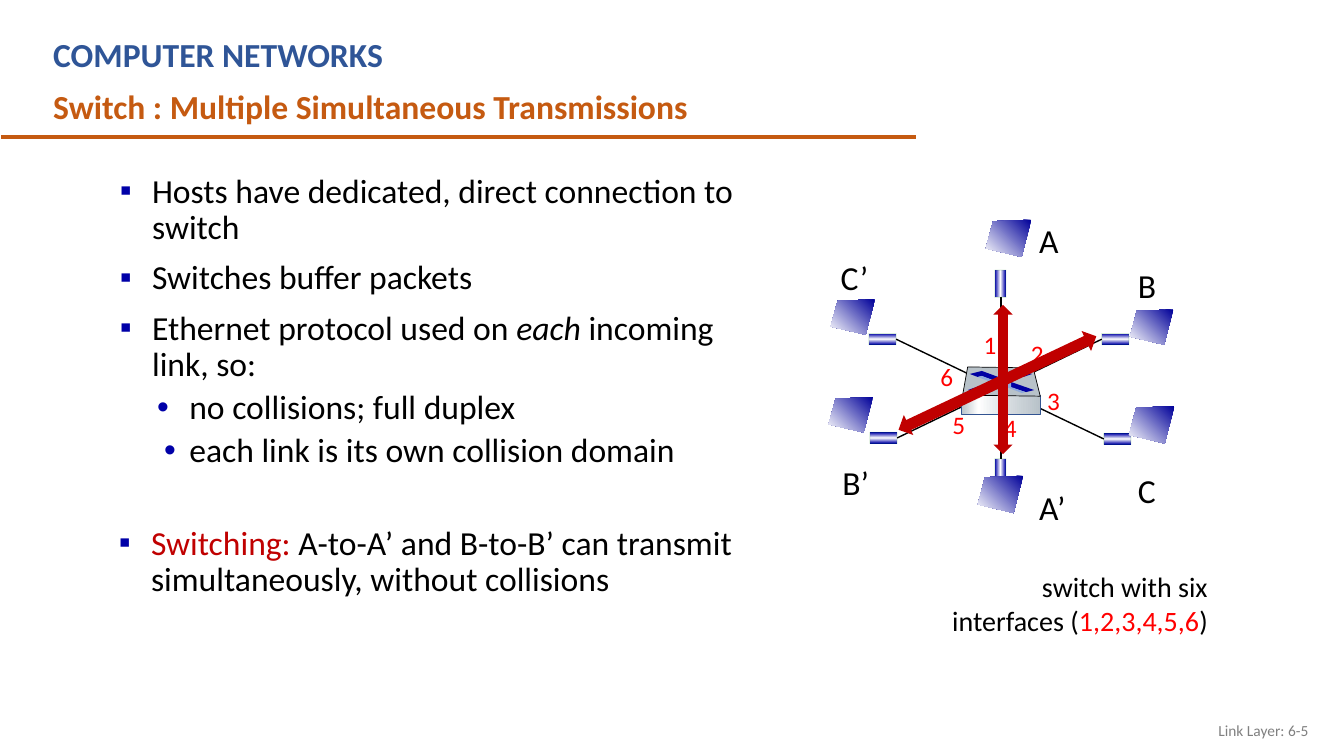
from lxml.etree import SubElement
from pptx import Presentation
from pptx.dml.color import RGBColor
from pptx.enum.shapes import MSO_CONNECTOR, MSO_SHAPE
from pptx.enum.text import MSO_ANCHOR, MSO_AUTO_SIZE, PP_ALIGN
from pptx.oxml import parse_xml
from pptx.oxml.ns import nsdecls, qn
from pptx.util import Inches, Pt

CELL = Inches(0.1)
BLACK, RED, DEEP, NAVY = "000000", "FF0000", "C00000", "0000A8"
SCREEN = [(1, 0), (0.16, 0.04), (0, 0.77), (0.79, 1)]
SCREEN_FILL = [(0, "000099"), (100, "FFFFFF")]
PORT_FILL = [(0, NAVY), (50, "FFFFFF"), (99, NAVY)]
BASE_FILL = [(0, "B8C2C9"), (21, "FFFFFF"), (60, "D6DCE0"), (100, "B8C2C9")]


def grid(*cells):
    return [round(cell * CELL) for cell in cells]


def tint(code):
    return RGBColor.from_string(code)


def paint(shape, fill, angle=0, edge=None, width=0.5):
    shape.shadow.inherit = False
    if isinstance(fill, str):
        shape.fill.solid()
        shape.fill.fore_color.rgb = tint(fill)
    else:
        stops = "".join(
            f'<a:gs pos="{pos * 1000}"><a:srgbClr val="{code}"/></a:gs>'
            for pos, code in fill
        )
        shade = parse_xml(
            f'<a:gradFill {nsdecls("a")} rotWithShape="1"><a:gsLst>{stops}</a:gsLst>'
            f'<a:lin ang="{angle * 60000}" scaled="0"/></a:gradFill>'
        )
        form = shape._element.spPr.find(qn("a:prstGeom"))
        if form is None:
            form = shape._element.spPr.find(qn("a:custGeom"))
        form.addnext(shade)
    if edge:
        shape.line.color.rgb = tint(edge)
        shape.line.width = Pt(width)
    else:
        shape.line.fill.background()


def block(slide, kind, box, fill, angle=0, edge=None, width=0.5, turn=0):
    shape = slide.shapes.add_shape(kind, *grid(*box))
    paint(shape, fill, angle, edge, width)
    shape.rotation = turn
    return shape


def outline(slide, points, fill, angle=0, edge=None):
    first, *rest = [grid(*point) for point in points]
    pen = slide.shapes.build_freeform(*first)
    pen.add_line_segments(rest, close=True)
    paint(pen.convert_to_shape(), fill, angle, edge)


def screen(slide, left, top, wide, high):
    points = [(left + x * wide, top + y * high) for x, y in SCREEN]
    outline(slide, points, SCREEN_FILL, 135)


def port(slide, box, angle):
    shape = block(slide, MSO_SHAPE.RECTANGLE, box, PORT_FILL, angle, "008000", 0.75)
    code = shape._element.spPr.find(qn("a:ln")).find(".//" + qn("a:srgbClr"))
    SubElement(code, qn("a:alpha"), val="15000")
    return shape


def link(slide, ends, code=BLACK, width=1):
    wire = slide.shapes.add_connector(MSO_CONNECTOR.STRAIGHT, *grid(*ends))
    wire.line.color.rgb = tint(code)
    wire.line.width = Pt(width)
    SubElement(wire._element.spPr, qn("a:effectLst"))
    return wire


def frame(slide, box, wrap):
    area = slide.shapes.add_textbox(*grid(*box)).text_frame
    area.word_wrap = wrap
    if not wrap:
        area.auto_size = MSO_AUTO_SIZE.SHAPE_TO_FIT_TEXT
    return area


def write(para, runs, size, bold=False):
    for text, code, slant in runs:
        run = para.add_run()
        run.text = text
        font = run.font
        font.name, font.size = "Calibri", Pt(size)
        font.bold, font.italic = bold, slant
        font.color.rgb = tint(code)


def label(slide, box, runs, size, wrap=False, align=PP_ALIGN.LEFT, bold=False):
    area = frame(slide, box, wrap)
    area.paragraphs[0].alignment = align
    write(area.paragraphs[0], runs, size, bold)
    return area


def bullets(slide, box, items):
    area = frame(slide, box, True)
    for rank, (level, hang, runs) in enumerate(items):
        para = area.add_paragraph() if rank else area.paragraphs[0]
        para.level = level
        props = para._p.get_or_add_pPr()
        props.set("marL", str(Inches((0.39, 0.76)[level])))
        props.set("indent", str(-Inches(hang)))
        SubElement(SubElement(props, qn("a:buClr")), qn("a:srgbClr"), val=NAVY)
        SubElement(props, qn("a:buFont"), typeface="Arial")
        SubElement(props, qn("a:buChar"), char="▪•"[level])
        para.line_spacing = 0.9
        if rank:
            para.space_before = Pt((10, 5)[level])
        write(para, runs, 24)


def switch(slide):
    block(slide, MSO_SHAPE.RECTANGLE, (95.4, 39.2, 7.8, 1.9), BASE_FILL, 0, "325491")
    outline(slide, [(95.5, 39.2), (96, 36.4), (102.5, 36.5), (103.2, 39.3)],
            "B8C2C9", edge=BLACK)
    outline(slide, [(101.2, 36.8), (102.4, 37.1), (101.5, 37.4), (101.3, 37.3),
                    (99.2, 38), (97.4, 37.3), (97, 37.4), (96.2, 37.1),
                    (97.4, 36.8), (99.3, 37.5)], "0000A3")
    outline(slide, [(100.3, 37.9), (102.6, 38.7), (101.8, 38.9), (100.2, 38.4)], "0000A3")
    outline(slide, [(98.3, 37.9), (98.3, 38.4), (96.8, 38.9), (96, 38.7)], NAVY)
    outline(slide, [(97, 37.4), (97.4, 37.3), (99.3, 38), (101.3, 37.3), (101.5, 37.4),
                    (100.3, 37.9), (100.3, 38.4), (101.7, 38.9), (101.4, 39),
                    (99.3, 38.2), (97.1, 39), (96.8, 38.9), (98.3, 38.4),
                    (98.3, 37.9)], "8FAADC")


def network(slide):
    link(slide, (99.3, 28.5, 99.3, 46.6))
    label(slide, (91.3, 56, 29.5, 7.7),
          [("switch with six interfaces (", BLACK, False), ("1,2,3,4,5,6", RED, False),
           (")", BLACK, False)], 20, True, PP_ALIGN.RIGHT)
    hosts = [("A", 102.1, 21.3), ("A’", 102.1, 47.8), ("B", 111.9, 25.8),
             ("B’", 82.6, 45.3), ("C", 111.9, 46.1), ("C’", 82.4, 25)]
    for name, left, top in hosts:
        label(slide, (left, top, 6, 5), [(name, BLACK, False)], 24)
    digits = [(96.6, 32.2), (101.3, 33.1), (102.9, 37.7),
              (98.6, 40.4), (93.5, 40.1), (92.3, 35.4)]
    for count, (left, top) in enumerate(digits, 1):
        label(slide, (left, top, 3.3, 4), [(str(count), RED, False)], 18)
    west = [port(slide, (left, top, 2.7, 1.1), 90) for left, top in [(86.2, 33.1), (86.3, 42.9)]]
    east = [port(slide, (left, top, 2.7, 1.1), 90) for left, top in [(109.3, 33.1), (109.5, 43)]]
    for start, end in zip(west, reversed(east)):
        wire = link(slide, (88.9, 33.7, 109.5, 43.5))
        wire.begin_connect(start, 3)
        wire.end_connect(end, 1)
    for top in (26.8, 45.5):
        port(slide, (98.7, top, 1.1, 2.7), 0)
    switch(slide)
    for box in [(82.4, 29.7, 4.4, 3.5), (82.2, 39.4, 4.4, 3.5), (112.1, 30.7, 4.3, 3.5),
                (112, 40.3, 4.5, 3.7), (97, 47.2, 4.5, 3.7), (97.8, 21.8, 4.5, 3.7)]:
        screen(slide, *box)


def main():
    deck = Presentation()
    deck.slide_width, deck.slide_height = grid(133.33, 75)
    slide = deck.slides.add_slide(deck.slide_layouts[6])
    foot = label(slide, (100.8, 70.5, 30, 4), [("Link Layer: 6-5", "808080", False)],
                 11, True, PP_ALIGN.RIGHT)
    foot.vertical_anchor = MSO_ANCHOR.MIDDLE
    network(slide)
    bullets(slide, (10.2, 16.8, 63.9, 37.6), [
        (0, 0.32, [("Hosts have dedicated, direct connection to switch", BLACK, False)]),
        (0, 0.32, [("Switches buffer packets", BLACK, False)]),
        (0, 0.32, [("Ethernet protocol used on ", BLACK, False), ("each", BLACK, True),
                   (" incoming link, so:", BLACK, False)]),
        (1, 0.32, [("no collisions; full duplex", BLACK, False)]),
        (1, 0.25, [("each link is its own collision domain", BLACK, False)]),
    ])
    bullets(slide, (10.1, 51.7, 73.5, 16.3), [
        (0, 0.32, [("Switching: ", DEEP, False),
                   ("A-to-A’ and B-to-B’ can transmit simultaneously, without collisions",
                    BLACK, False)]),
    ])
    for box, turn in [((92.1, 36.7, 14.8, 1.9), 90), ((88.1, 36.9, 21.7, 2.2), 154.7)]:
        block(slide, MSO_SHAPE.LEFT_RIGHT_ARROW, box, DEEP, turn=turn)
    label(slide, (4.3, 2.9, 82, 5), [("COMPUTER NETWORKS", "2F5597", False)], 24, True, bold=True)
    link(slide, (0.1, 13.6, 90.9, 13.6), "C55A11", 3)
    label(slide, (4.3, 8, 65.6, 5),
          [("Switch : Multiple Simultaneous Transmissions", "C55A11", False)], 24, bold=True)
    deck.save("out.pptx")


if __name__ == "__main__":
    main()
